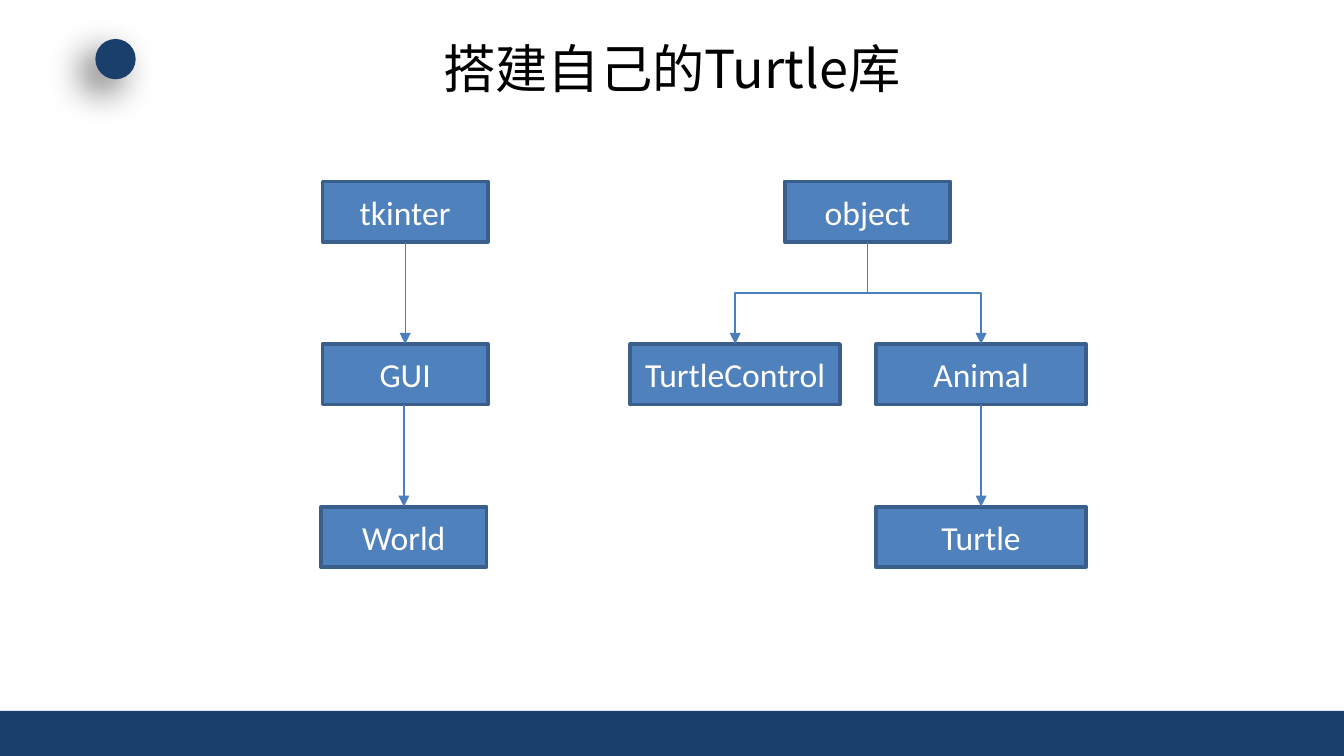
from pptx import Presentation
from pptx.dml.color import RGBColor
from pptx.enum import shapes, text
from pptx.oxml import parse_xml
from pptx.oxml import ns
from pptx.util import Inches, Pt

COLORS = {"navy": "1A3F6C", "box": "4F81BD", "edge": "3A5F8C",
          "arrow": "4B7EBC", "white": "FFFFFF", "black": "000000"}
RGB = {name: RGBColor.from_string(value) for name, value in COLORS.items()}
BOX_H = 0.45
ROW_TOP, ROW_STEP = 1.35, 1.21

# A 16:9 slide
prs = Presentation()
prs.slide_width = Inches(10)
prs.slide_height = Inches(10 * 9 / 16)
s = prs.slides.add_slide(prs.slide_layouts[5])


def add_filled(kind, x, y, w, h, color):
    sp = s.shapes.add_shape(kind, Inches(x), Inches(y), Inches(w), Inches(h))
    sp.shadow.inherit = False
    sp.fill.solid()
    sp.fill.fore_color.rgb = RGB[color]
    sp.line.fill.background()
    return sp


def write(sp, words, font):
    tf = sp.text_frame
    tf.vertical_anchor = text.MSO_ANCHOR.MIDDLE
    p = tf.paragraphs[0]
    p.alignment = text.PP_ALIGN.CENTER
    r = p.add_run()
    r.text = words
    for name, value in font.items():
        setattr(r.font, name, value)
    return r


# Footer band and corner dot with a soft shadow
add_filled(shapes.MSO_SHAPE.RECTANGLE, 0, 5.29, 10, 0.34, "navy")
dot = add_filled(shapes.MSO_SHAPE.OVAL, 0.71, 0.29, 0.3, 0.3, "navy")
dot.element.spPr.find(ns.qn("a:effectLst")).append(parse_xml(
    f'<a:outerShdw {ns.nsdecls("a")} blurRad="{Pt(20)}" dist="{Pt(10)}" '
    f'dir="{135 * 60000}" algn="ctr" rotWithShape="0">'
    f'<a:srgbClr val="{COLORS["black"]}"><a:alpha val="60000"/></a:srgbClr>'
    '</a:outerShdw>'))

# Title
title = s.shapes.title
title.left, title.top = Inches(0.5), Inches(0.23)
title.width, title.height = Inches(9), Inches(0.55)
r = write(title, "搭建自己的Turtle库", {
    "size": Pt(28), "name": "Noto Sans CJK SC"})
r.font.color.rgb = RGB["black"]
r.font._element.append(parse_xml(
    f'<a:ea {ns.nsdecls("a")} typeface="Noto Sans CJK SC"/>'))

# Class boxes: name, left, row, width
boxes = {}
for name, x, row, w in [
    ("object", 5.84, 0, 1.23), ("TurtleControl", 4.69, 1, 1.56),
    ("Animal", 6.52, 1, 1.56), ("Turtle", 6.52, 2, 1.56),
    ("tkinter", 2.4, 0, 1.23), ("GUI", 2.4, 1, 1.23), ("World", 2.39, 2, 1.23),
]:
    sp = add_filled(shapes.MSO_SHAPE.RECTANGLE, x, ROW_TOP + row * ROW_STEP,
                    w, BOX_H, "box")
    sp.line.color.rgb = RGB["edge"]
    sp.line.width = Pt(2)
    sp.text_frame.word_wrap = False
    r = write(sp, name, {"size": Pt(18), "name": "Calibri"})
    r.font.color.rgb = RGB["white"]
    boxes[name] = sp

# Inheritance arrows, from bottom centre of parent to top centre of child
for parent, child, bent in [
    ("object", "TurtleControl", True), ("object", "Animal", True),
    ("Animal", "Turtle", False), ("tkinter", "GUI", False),
    ("GUI", "World", False),
]:
    a, b = boxes[parent], boxes[child]
    x2, y2 = b.left + b.width // 2, b.top
    x1, y1 = a.left + a.width // 2 if bent else x2, a.top + a.height
    kind = shapes.MSO_CONNECTOR.ELBOW if bent else shapes.MSO_CONNECTOR.STRAIGHT
    c = s.shapes.add_connector(kind, x1, y1, x2, y2)
    if bent:
        c.begin_connect(a, 2)
        c.end_connect(b, 0)
        # A quarter turn makes the elbow leave downwards
        c.width, c.height = y2 - y1, abs(x2 - x1)
        c.left = (x1 + x2 - c.width) // 2
        c.top = (y1 + y2 - c.height) // 2
        xfrm = c.element.spPr.find(ns.qn("a:xfrm"))
        xfrm.set("rot", str((90 if x2 < x1 else 270) * 60000))
        xfrm.set("flipH", "0" if x2 < x1 else "1")
    c.line.color.rgb = RGB["arrow"]
    c.line.width = Pt(0.75)
    c.line._get_or_add_ln().append(parse_xml(
        f'<a:tailEnd {ns.nsdecls("a")} type="triangle"/>'))
    c.element.spPr.append(parse_xml(f'<a:effectLst {ns.nsdecls("a")}/>'))

prs.save("out.pptx")
